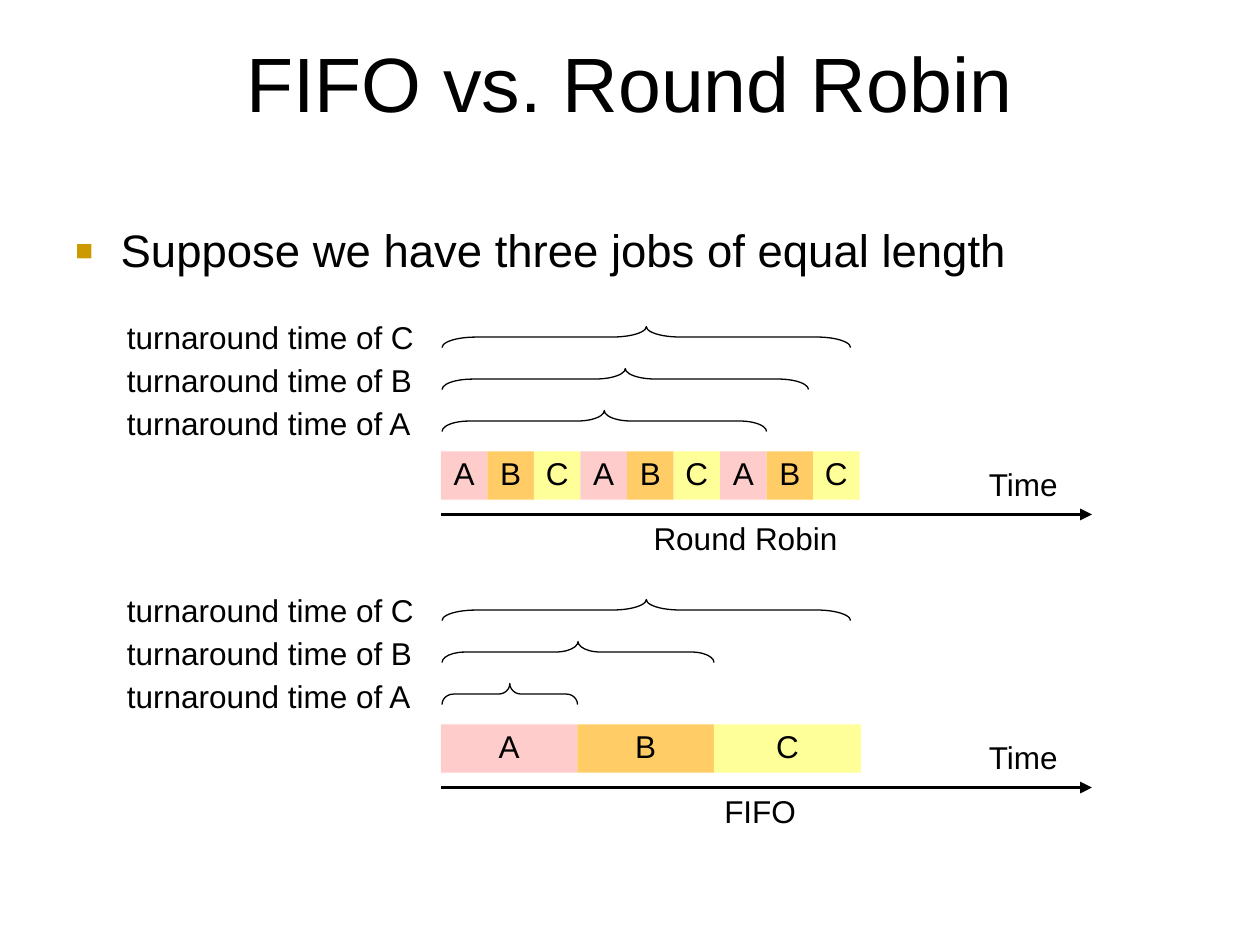
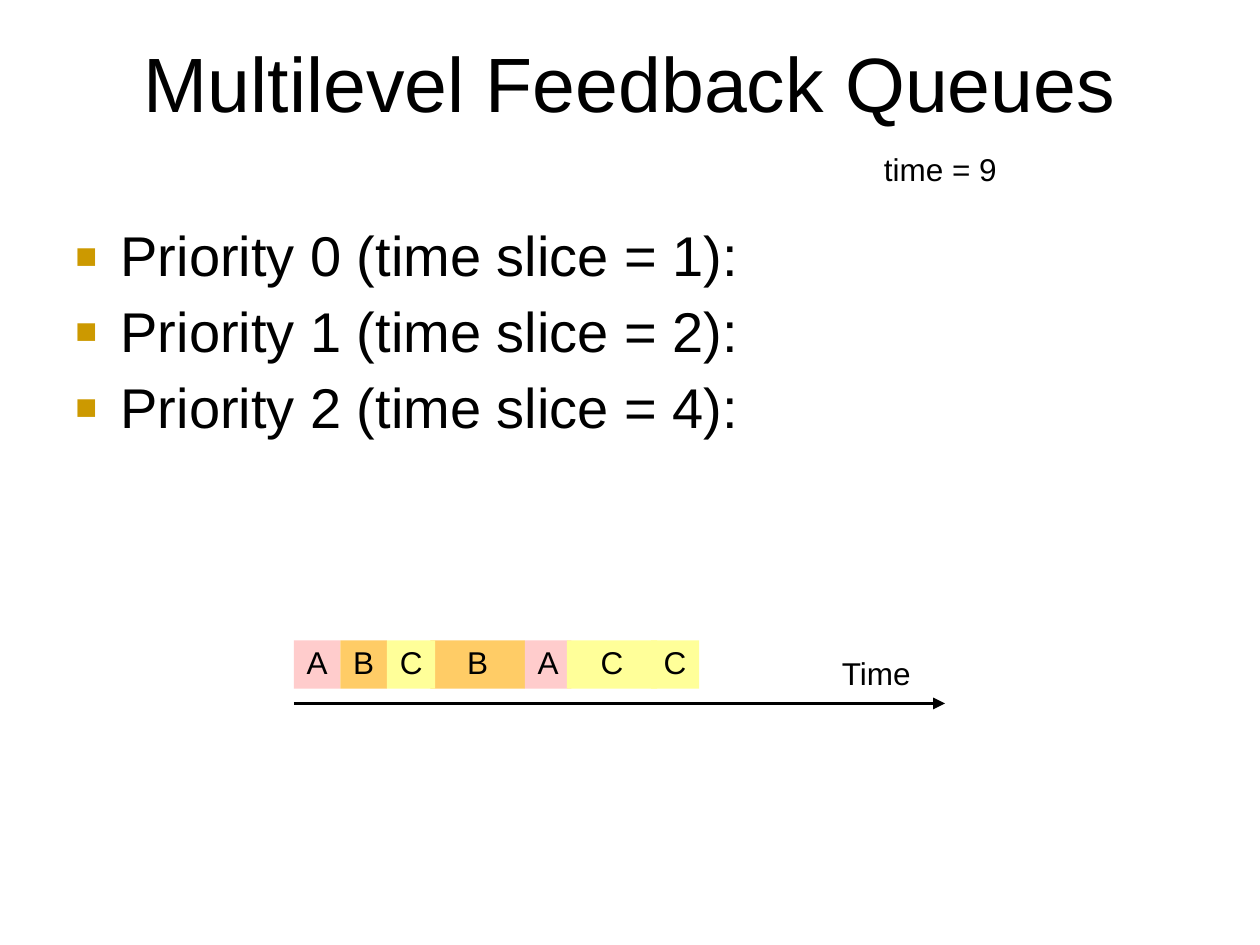
from dataclasses import dataclass, field

from lxml.etree import SubElement as Sub
from pptx import Presentation
from pptx.dml.color import RGBColor as Rgb
from pptx.enum.shapes import MSO_CONNECTOR as Link, MSO_SHAPE as Form
from pptx.enum.text import MSO_ANCHOR as Anchor, PP_ALIGN as Align
from pptx.oxml.ns import qn
from pptx.util import Inches, Pt


@dataclass(frozen=True)
class Theme:
    """Colours, type sizes and the grid that both slides share."""
    face: str = "Arial"
    ink: Rgb = Rgb(0, 0, 0)
    mark: str = "CC9900"
    head: int = 44
    note: int = 18
    lead: float = 0.93
    gap: float = 7.5
    thin: float = 0.75
    bold: float = 2.25
    cols: int = 120
    rows: int = 90
    jobs: dict = field(default_factory=lambda: {
        "A": Rgb.from_string("FFCCCC"),
        "B": Rgb.from_string("FFCC66"),
        "C": Rgb.from_string("FFFF99")})


THEME = Theme()
WIDE, HIGH = Inches(10), Inches(7.5)
SLOT = 4.43


def grid(x, y, *size):
    """Turn columns and rows into slide lengths."""
    steps = (WIDE / THEME.cols, HIGH / THEME.rows) * 2
    return [round(n * step) for n, step in zip((x, y, *size), steps)]


def style(item, values):
    """Set each named value on an object."""
    for name, value in values.items():
        setattr(item, name, value)


def write(shape, lines, size, align=Align.LEFT, side=0.1):
    """Fill a shape with paragraphs and return them."""
    frame = shape.text_frame
    style(frame, dict(word_wrap=True, vertical_anchor=Anchor.TOP,
                      margin_left=Inches(side), margin_right=Inches(side)))
    frame.text = "\n".join(lines)
    for para in frame.paragraphs:
        style(para, dict(alignment=align, line_spacing=THEME.lead))
        font = para.runs[0].font
        style(font, dict(name=THEME.face, size=Pt(size)))
        font.color.rgb = THEME.ink
    return frame.paragraphs


def label(slide, box, text, size=THEME.note, align=Align.LEFT):
    """Place one line of text."""
    write(slide.shapes.add_textbox(*grid(*box)), [text], size, align)


def bullet(para):
    """Give a paragraph a hanging square bullet."""
    props = para._p.get_or_add_pPr()
    props.set("marL", str(Inches(0.36)))
    props.set("indent", str(-Inches(0.36)))
    tint = Sub(props, qn("a:buClr"))
    Sub(tint, qn("a:srgbClr"), val=THEME.mark)
    Sub(props, qn("a:buSzPct"), val="65000")
    Sub(props, qn("a:buFont"), typeface=THEME.face)
    Sub(props, qn("a:buChar"), char="■")


def page(deck, title, lines, size):
    """Add a slide with its title and bullet list."""
    slide = deck.slides.add_slide(deck.slide_layouts[6])
    label(slide, (6, 3.6, 108, 15), title, THEME.head, Align.CENTER)
    body = slide.shapes.add_textbox(*grid(6, 21, 108, 59.4))
    for i, para in enumerate(write(body, lines, size)):
        bullet(para)
        if i:
            para.space_before = Pt(THEME.gap)
    return slide


def block(slide, x, y, job, width):
    """Draw one run of a job."""
    shape = slide.shapes.add_shape(Form.RECTANGLE, *grid(x, y, width, 4.6))
    shape.shadow.inherit = False
    shape.fill.solid()
    shape.fill.fore_color.rgb = THEME.jobs[job]
    shape.line.fill.background()
    write(shape, [job], THEME.note, Align.CENTER, 0)


def arrow(slide, x, y, width):
    """Draw the time axis."""
    line = slide.shapes.add_connector(
        Link.STRAIGHT, *grid(x, y), *grid(x + width, y))
    line.line.width = Pt(THEME.bold)
    line.line.color.rgb = THEME.ink
    Sub(line.line._get_or_add_ln(), qn("a:tailEnd"), type="triangle")
    Sub(line._element.spPr, qn("a:effectLst"))


def brace(slide, x, y, width, depth=2):
    """Draw a brace that points up over a span."""
    box = (x + (width - depth) / 2, y + (depth - width) / 2, depth, width)
    shape = slide.shapes.add_shape(Form.LEFT_BRACE, *grid(*box))
    style(shape, dict(rotation=90))
    shape.shadow.inherit = False
    shape.adjustments[0] = width / 12 / depth
    shape.fill.background()
    shape.line.width = Pt(THEME.thin)
    shape.line.color.rgb = THEME.ink


def chart(slide, x, y, runs):
    """Draw the runs of the jobs over a time axis."""
    for job, start, width in runs:
        block(slide, x + start, y, job, width)
    arrow(slide, x, y + 6, 62)
    label(slide, (x + 51, y + 1, 10, 4.6), "Time")


def spans(slide, x, y, ends):
    """Draw the turnaround rows, last job on top."""
    for i, (job, end) in enumerate(ends):
        label(slide, (x - 31.1, y - 13 + 4.1 * i, 31, 4.6),
              f"turnaround time of {job}")
        brace(slide, x + 0.1, y - 11.9 + 4 * i, end - 0.1)


def plan(slide, x, y, name, mid, runs, ends):
    """Draw a named schedule with its turnaround rows."""
    chart(slide, x, y, runs)
    spans(slide, x, y, ends)
    label(slide, (x + mid - 12, y + 6.2, 24, 4.6), name, align=Align.CENTER)


def compare(deck):
    """Build the slide that sets two schedules side by side."""
    slide = page(deck, "FIFO vs. Round Robin",
                 ["Suppose we have three jobs of equal length"], 26)
    turns = [(job, i * SLOT, SLOT) for i, job in enumerate("ABC" * 3)]
    whole = [("A", 0, 13), ("B", 13, 13), ("C", 26, 14)]
    plan(slide, 42, 43, "Round Robin", 29, turns,
         [("C", 39), ("B", 35), ("A", 31)])
    plan(slide, 42, 69, "FIFO", 30.4, whole,
         [("C", 39), ("B", 26), ("A", 13)])


def queues(deck):
    """Build the slide on feedback queues."""
    lines = [f"Priority {i} (time slice = {2 ** i}):" for i in range(3)]
    slide = page(deck, "Multilevel Feedback Queues", lines, 32)
    label(slide, (83, 14, 15, 4.6), "time = 9")
    chart(slide, 28, 61, [
        ("B", 13, 9), ("A", 0, SLOT), ("B", SLOT, SLOT),
        ("C", 2 * SLOT, 4.6), ("A", 22, SLOT), ("C", 26, 8.6),
        ("C", 34, 4.6)])


def main():
    """Build and save the deck."""
    deck = Presentation()
    style(deck, dict(slide_width=WIDE, slide_height=HIGH))
    compare(deck)
    queues(deck)
    deck.save("out.pptx")


if __name__ == "__main__":
    main()
